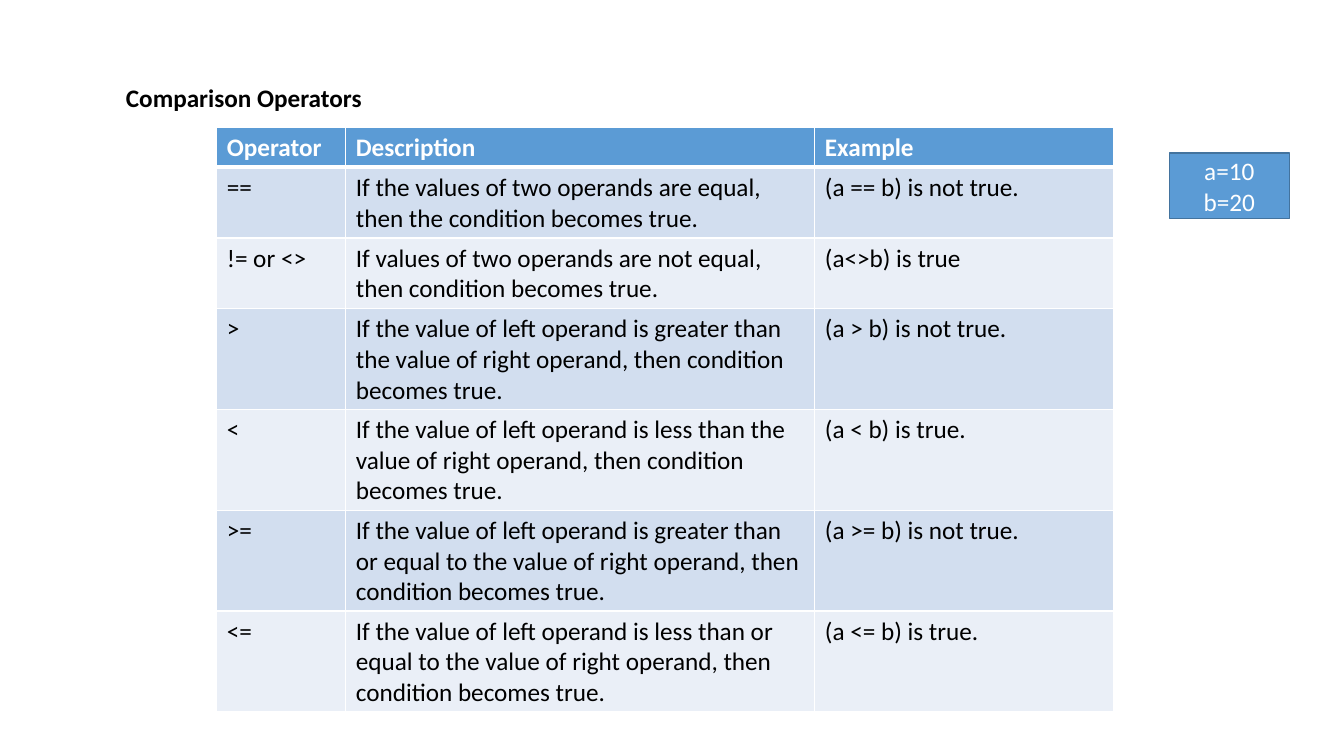
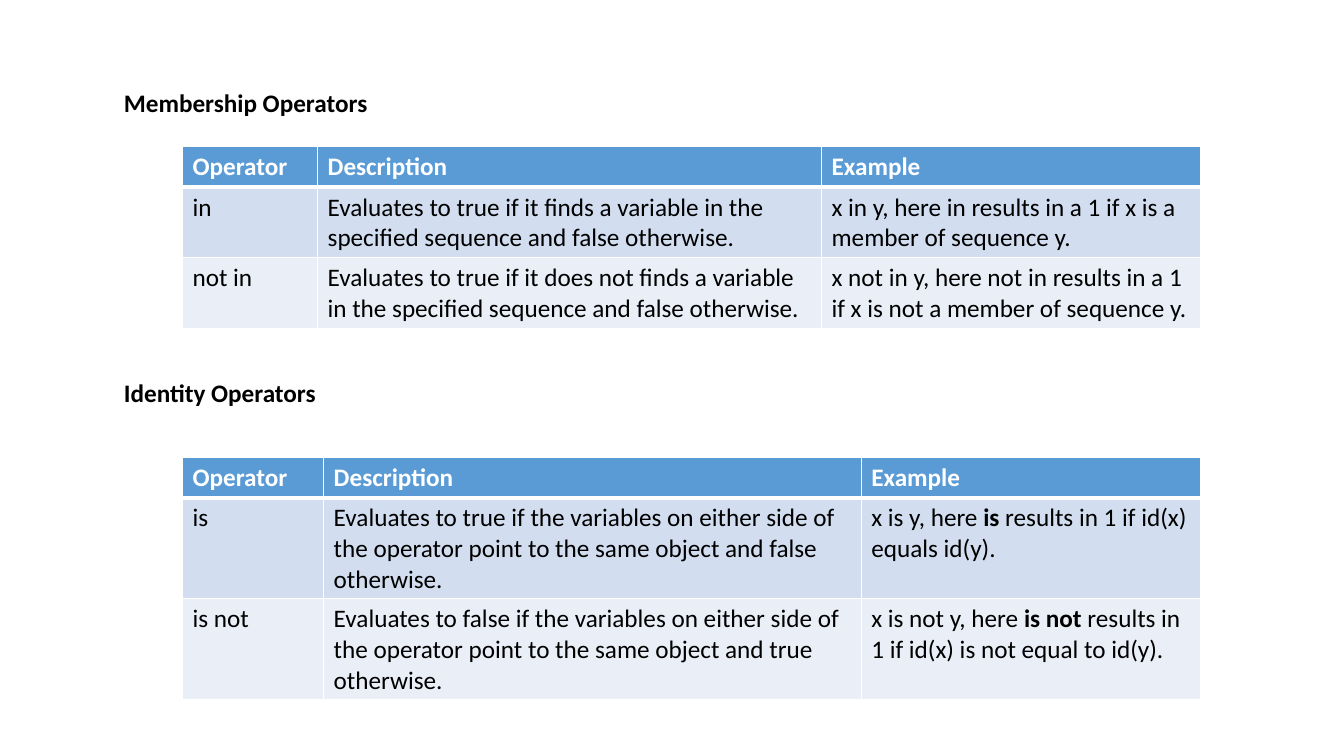
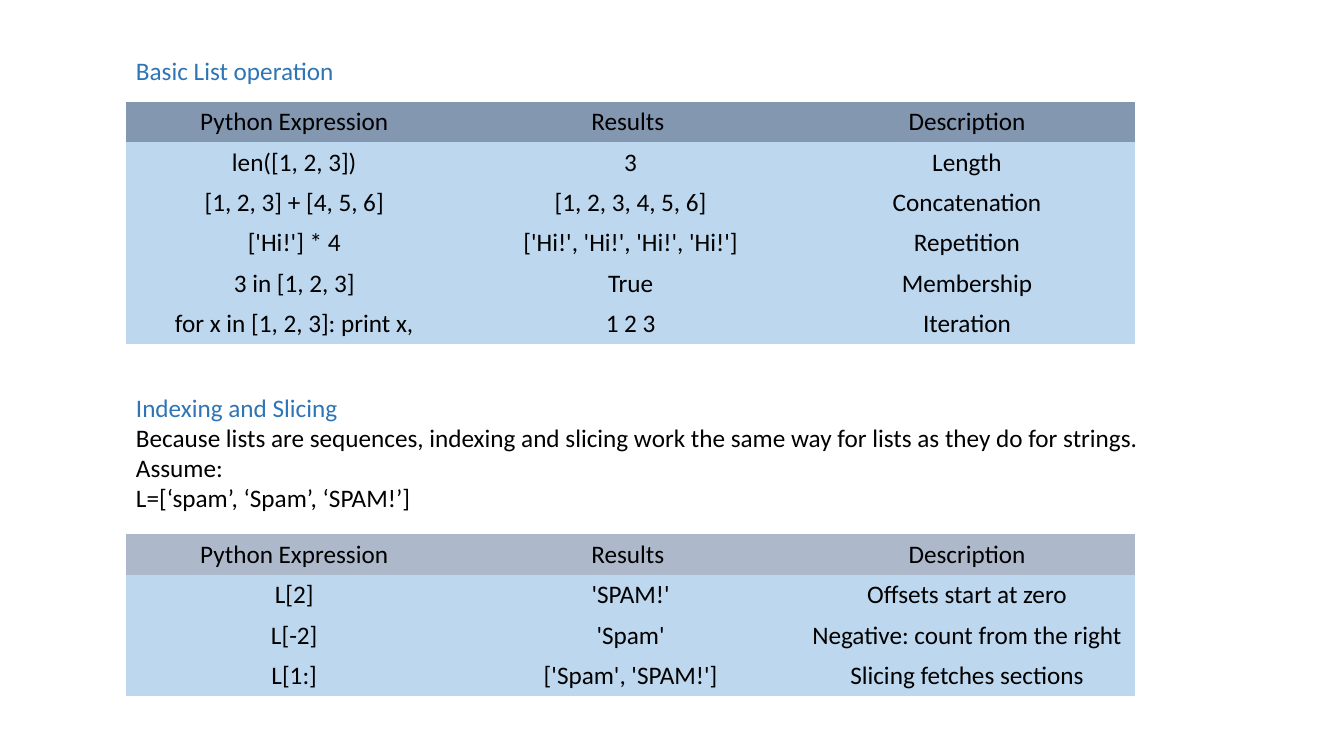
from lxml import etree
from pptx import Presentation
from pptx.dml.color import RGBColor
from pptx.enum.shapes import MSO_SHAPE
from pptx.enum.text import MSO_ANCHOR, MSO_AUTO_SIZE, PP_ALIGN
from pptx.oxml.ns import qn
from pptx.util import Inches, Pt

RECTANGLE = MSO_SHAPE.RECTANGLE
TOP, MIDDLE = MSO_ANCHOR.TOP, MSO_ANCHOR.MIDDLE
LEFT, CENTER = PP_ALIGN.LEFT, PP_ALIGN.CENTER
FIT_SHAPE = MSO_AUTO_SIZE.SHAPE_TO_FIT_TEXT

COLORS = {
    "white": "FFFFFF", "black": "000000", "blue": "5B9BD5", "edge": "43739E",
    "band": "D2DEEF", "pale band": "EAEFF7", "title blue": "2E75B6",
    "slate": "8497B0", "light slate": "ADB9CA", "sky": "BDD7EE",
}
FONT = {"name": "Calibri", "size": Pt(18)}
LINE_HEIGHT, CELL_PADDING = 4, 1.33
BOLD_MARK = "|"

OPERATOR_HEADER = ("Operator", "Description", "Example")
COMPARISON_ROWS = [
    OPERATOR_HEADER,
    ("==", "If the values of two operands are equal, then the condition becomes true.",
     "(a == b) is not true."),
    ("!= or <>", "If values of two operands are not equal, then condition becomes true.",
     "(a<>b) is true"),
    (">", "If the value of left operand is greater than the value of right operand, "
     "then condition becomes true.", "(a > b) is not true."),
    ("<", "If the value of left operand is less than the value of right operand, "
     "then condition becomes true.", "(a < b) is true."),
    (">=", "If the value of left operand is greater than or equal to the value of right "
     "operand, then condition becomes true.", "(a >= b) is not true."),
    ("<=", "If the value of left operand is less than or equal to the value of right "
     "operand, then condition becomes true.", "(a <= b) is true."),
]
MEMBERSHIP_ROWS = [
    OPERATOR_HEADER,
    ("in", "Evaluates to true if it finds a variable in the specified sequence and false "
     "otherwise.", "x in y, here in results in a 1 if x is a member of sequence y."),
    ("not in", "Evaluates to true if it does not finds a variable in the specified sequence "
     "and false otherwise.",
     "x not in y, here not in results in a 1 if x is not a member of sequence y."),
]
IDENTITY_ROWS = [
    OPERATOR_HEADER,
    ("is", "Evaluates to true if the variables on either side of the operator point to the "
     "same object and false otherwise.",
     "x is y, here |is| results in 1 if id(x) equals id(y)."),
    ("is not", "Evaluates to false if the variables on either side of the operator point to "
     "the same object and true otherwise.",
     "x is not y, here |is not| results in 1 if id(x) is not equal to id(y)."),
]
LIST_HEADER = ("Python Expression", "Results ", "Description")
LIST_ROWS = [
    LIST_HEADER,
    ("len([1, 2, 3])", "3", "Length"),
    ("[1, 2, 3] + [4, 5, 6]", "[1, 2, 3, 4, 5, 6]", "Concatenation"),
    ("['Hi!'] * 4", "['Hi!', 'Hi!', 'Hi!', 'Hi!']", "Repetition"),
    ("3 in [1, 2, 3]", "True", "Membership"),
    ("for x in [1, 2, 3]: print x,", "1 2 3", "Iteration"),
]
SLICING_ROWS = [
    LIST_HEADER,
    ("L[2]", "'SPAM!'", "Offsets start at zero"),
    ("L[-2]", "'Spam'", "Negative: count from the right"),
    ("L[1:]", "['Spam', 'SPAM!']", "Slicing fetches sections"),
]


def color(name):
    return RGBColor.from_string(COLORS[name])


def apply(target, values):
    for attribute, value in values.items():
        setattr(target, attribute, value)


def fill(target, name):
    target.fill.solid()
    target.fill.fore_color.rgb = color(name)


class Deck:
    """Lengths are percentages of the slide's width or height."""

    def __init__(self):
        self.presentation = Presentation()
        apply(self.presentation, {"slide_width": Inches(13.33), "slide_height": Inches(7.5)})
        self.slide = None

    def add_slide(self):
        self.slide = self.presentation.slides.add_slide(self.presentation.slide_layouts[6])

    def x(self, share):
        return round(self.presentation.slide_width * share / 100)

    def y(self, share):
        return round(self.presentation.slide_height * share / 100)

    def box(self, left, top, width, height):
        return self.x(left), self.y(top), self.x(width), self.y(height)

    def add_runs(self, paragraph, text, name, bold=False, align=LEFT):
        """Fill a paragraph; parts between bold marks are bold."""
        paragraph.alignment = align
        for index, part in enumerate(text.split(BOLD_MARK)):
            run = paragraph.add_run()
            run.text = part
            apply(run.font, {**FONT, "bold": bold or index % 2 == 1})
            run.font.color.rgb = color(name)

    def add_lines(self, frame, lines, align=LEFT):
        """Add one paragraph for each (text, color name, bold)."""
        for index, (text, name, bold) in enumerate(lines):
            paragraph = frame.add_paragraph() if index else frame.paragraphs[0]
            self.add_runs(paragraph, text, name, bold, align)

    def text(self, left, top, width, lines):
        height = CELL_PADDING + LINE_HEIGHT * len(lines)
        shape = self.slide.shapes.add_textbox(*self.box(left, top, width, height))
        apply(shape.text_frame, {"word_wrap": False, "auto_size": FIT_SHAPE})
        self.add_lines(shape.text_frame, lines)

    def heading(self, left, top, width, text, name="black", bold=True):
        self.text(left, top, width, [(text, name, bold)])

    def label(self, left, top, width, height, texts):
        shape = self.slide.shapes.add_shape(RECTANGLE, *self.box(left, top, width, height))
        shape.shadow.inherit = False
        fill(shape, "blue")
        shape.line.color.rgb = color("edge")
        shape.line.width = Pt(1)
        apply(shape.text_frame, {"word_wrap": True, "vertical_anchor": MIDDLE})
        self.add_lines(shape.text_frame, [(text, "white", False) for text in texts], CENTER)

    def border(self, cell, side, points):
        """Draw a white cell edge, or clear it when points is 0."""
        properties = cell._tc.get_or_add_tcPr()
        line = etree.SubElement(properties, qn(f"a:ln{side}"), w=str(Pt(points)))
        if points:
            solid = etree.SubElement(line, qn("a:solidFill"))
            etree.SubElement(solid, qn("a:srgbClr"), val=COLORS["white"])
        else:
            etree.SubElement(line, qn("a:noFill"))

    def table(self, left, top, widths, rows, line_counts, header, bands, ruled):
        """Ruled tables have white edges and a bold header; others are centred."""
        heights = [CELL_PADDING + LINE_HEIGHT * count for count in line_counts]
        frame = self.slide.shapes.add_table(
            len(rows), len(widths), *self.box(left, top, sum(widths), sum(heights)))
        table = frame.table
        apply(table, {"first_row": False, "horz_banding": False})
        for column, width in zip(table.columns, widths):
            column.width = self.x(width)
        for index, (row, height, texts) in enumerate(zip(table.rows, heights, rows)):
            row.height = self.y(height)
            is_header = index == 0
            edges = {"L": 1, "R": 1, "T": 3 if index == 1 else 1, "B": 3 if is_header else 1}
            for cell, text in zip(row.cells, texts):
                for side, points in edges.items():
                    self.border(cell, side, points if ruled else 0)
                fill(cell, header if is_header else bands[(index - 1) % len(bands)])
                cell.vertical_anchor = TOP if ruled else MIDDLE
                strong = ruled and is_header
                self.add_runs(cell.text_frame.paragraphs[0], text,
                              "white" if strong else "black", strong,
                              LEFT if ruled else CENTER)

    def operator_table(self, left, top, widths, rows, line_counts):
        self.table(left, top, widths, rows, line_counts, "blue", ("band", "pale band"), True)

    def list_table(self, left, top, rows, header):
        self.table(left, top, [25.03] * 3, rows, [1] * len(rows), header, ("sky",), False)


def main():
    deck = Deck()

    deck.add_slide()
    deck.heading(8.63, 10.27, 19.2, "Comparison Operators")
    deck.operator_table(16.13, 16.8, (9.6, 34.9, 22.2), COMPARISON_ROWS, (1, 2, 2, 3, 3, 3, 3))
    deck.label(87, 20.27, 8.93, 8.67, ("a=10", "b=20"))

    deck.add_slide()
    deck.heading(8.48, 10.93, 19.7, "Membership Operators")
    deck.operator_table(13.58, 19.4, (10.05, 37.5, 28.2), MEMBERSHIP_ROWS, (1, 2, 2))
    deck.heading(8.48, 49.2, 15.9, "Identity Operators")
    deck.operator_table(13.58, 60.5, (10.5, 40, 25.25), IDENTITY_ROWS, (1, 3, 3))

    deck.add_slide()
    margin = 9.38
    deck.heading(margin, 6.67, 16.35, "Basic List operation", "title blue", False)
    deck.list_table(margin, 13.47, LIST_ROWS, "slate")
    deck.text(margin, 51.2, 76.95, [
        ("Indexing and Slicing", "title blue", False),
        ("Because lists are sequences, indexing and slicing work the same way for lists "
         "as they do for strings.", "black", False),
        ("Assume:", "black", False),
        ("L=[‘spam’, ‘Spam’, ‘SPAM!’]", "black", False),
    ])
    deck.list_table(margin, 70.67, SLICING_ROWS, "light slate")

    deck.presentation.save("out.pptx")


if __name__ == "__main__":
    main()
